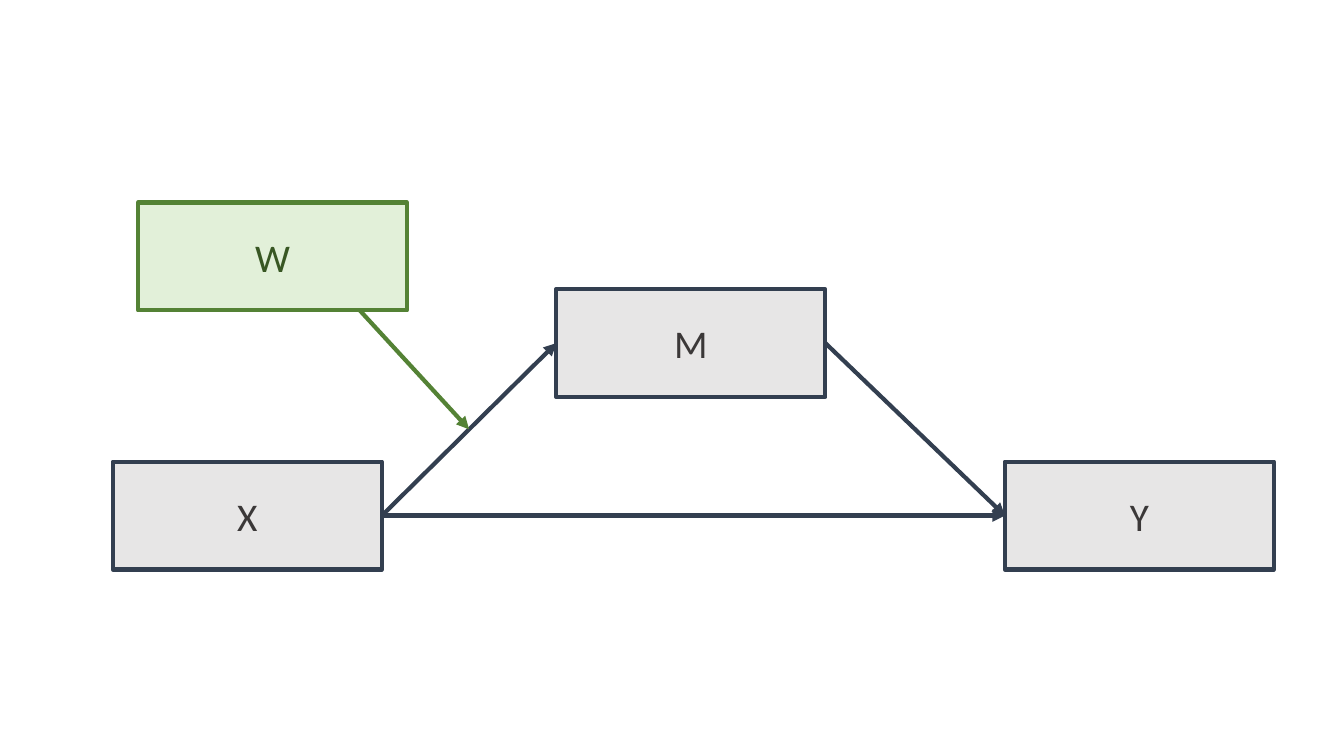
from lxml import etree
from pptx import Presentation
from pptx.dml.color import RGBColor
from pptx.enum import shapes, text
from pptx.oxml.ns import qn
from pptx.util import Pt

BOX_WIDTH, BOX_HEIGHT = 192.2, 77
LINE_WIDTH = 3
LEFT_SITE, RIGHT_SITE = 1, 3
GREY = {"fill": "E7E6E6", "line": "333F50", "font": "3B3838"}
GREEN = {"fill": "E2F0D9", "line": "548235", "font": "385723"}
VARIABLES = [
    ("X", 80.6, 329.8, GREY),
    ("M", 397.4, 206.6, GREY),
    ("Y", 717.8, 329.8, GREY),
    ("W", 98.6, 144.7, GREEN),
]
PATHS = [("X", "M"), ("M", "Y"), ("X", "Y")]
MODERATOR_START = 158.4


def color(value):
    return RGBColor.from_string(value)


def add_variable(page, name, left, top, style):
    box = page.shapes.add_shape(
        shapes.MSO_SHAPE.RECTANGLE, Pt(left), Pt(top), Pt(BOX_WIDTH), Pt(BOX_HEIGHT))
    box.shadow.inherit = False
    box.fill.solid()
    box.fill.fore_color.rgb = color(style["fill"])
    box.line.color.rgb = color(style["line"])
    box.line.width = Pt(LINE_WIDTH)
    box.text_frame.vertical_anchor = text.MSO_ANCHOR.MIDDLE
    para = box.text_frame.paragraphs[0]
    para.text = name
    para.alignment = text.PP_ALIGN.CENTER
    para.font.name = "Calibri"
    para.font.size = Pt(28)
    para.font.color.rgb = color(style["font"])
    return box


def add_arrow(page, start, end, line_color):
    arrow = page.shapes.add_connector(shapes.MSO_CONNECTOR.STRAIGHT, *start, *end)
    arrow.line.color.rgb = color(line_color)
    arrow.line.width = Pt(LINE_WIDTH)
    properties = arrow.element.spPr
    etree.SubElement(properties.find(qn("a:ln")), qn("a:tailEnd"), type="triangle")
    etree.SubElement(properties, qn("a:effectLst"))
    return arrow


def right_middle(box):
    return box.left + box.width, box.top + box.height // 2


def left_middle(box):
    return box.left, box.top + box.height // 2


deck = Presentation()
deck.slide_width, deck.slide_height = Pt(960), Pt(540)
page = deck.slides.add_slide(deck.slide_layouts[6])

boxes = {variable[0]: add_variable(page, *variable) for variable in VARIABLES}

for source, target in PATHS:
    start, end = boxes[source], boxes[target]
    arrow = add_arrow(page, right_middle(start), left_middle(end), GREY["line"])
    arrow.begin_connect(start, RIGHT_SITE)
    arrow.end_connect(end, LEFT_SITE)

moderator = boxes["W"]
moderator_start = moderator.left + Pt(MODERATOR_START), moderator.top + moderator.height
path_ends = right_middle(boxes["X"]), left_middle(boxes["M"])
path_middle = [sum(pair) // 2 for pair in zip(*path_ends)]
add_arrow(page, moderator_start, path_middle, GREEN["line"])

deck.save("out.pptx")
